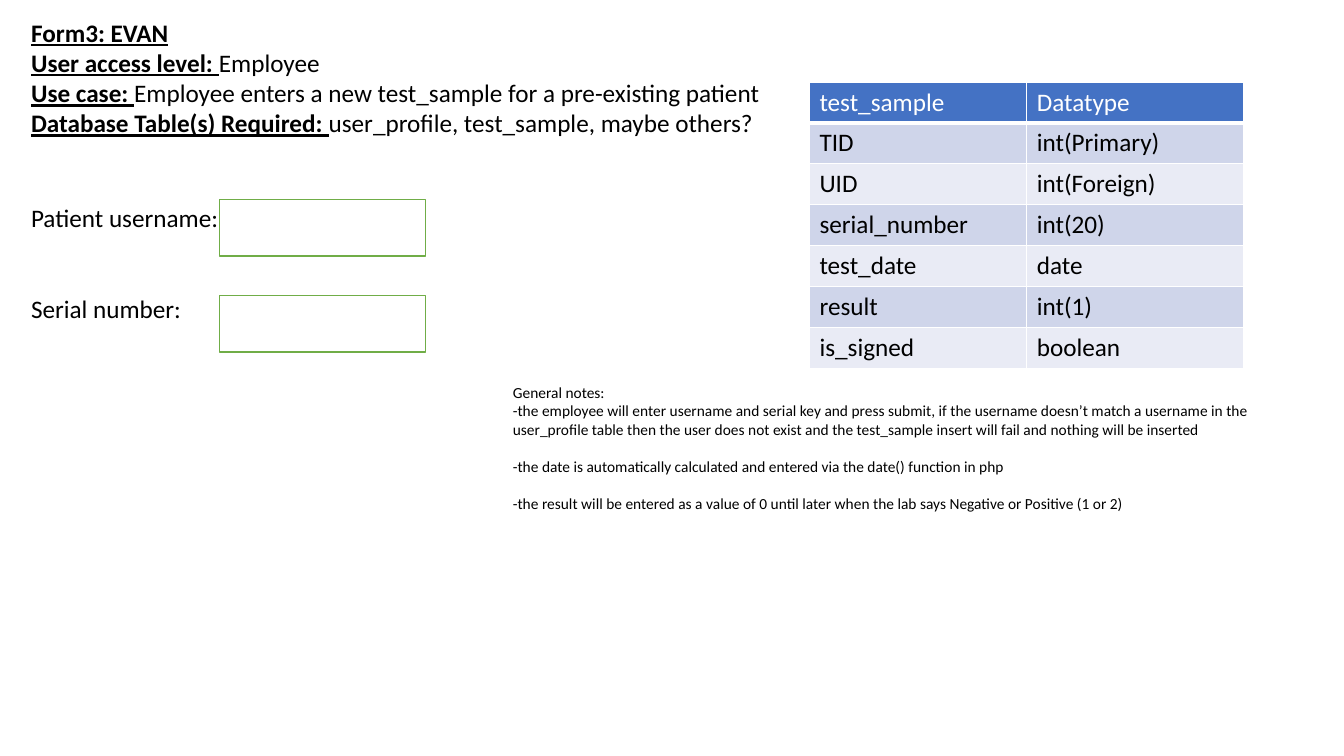
from lxml import etree
from pptx import Presentation
from pptx import util as u
from pptx.dml.color import RGBColor
from pptx.enum import shapes, text
from pptx.oxml import ns

COLORS = {"ink": "000000", "paper": "FFFFFF", "field": "70AD47",
          "header": "4472C4", "odd": "CFD5EA", "even": "E9EBF5"}
FONT = "Calibri"
SUMMARY = [("Form3: EVAN", ""),
           ("User access level: ", "Employee"),
           ("Use case: ", "Employee enters a new test_sample for a pre-existing patient"),
           ("Database Table(s) Required: ", "user_profile, test_sample, maybe others? ")]
COLUMNS = [("test_sample", "Datatype"), ("TID", "int(Primary)"),
           ("UID", "int(Foreign)"), ("serial_number", "int(20)"),
           ("test_date", "date"), ("result", "int(1)"), ("is_signed", "boolean")]
LABELS = ["Patient username:", "Serial number:"]
NOTES = ["General notes:",
         "-the employee will enter username and serial key and press submit, if the "
         "username doesn’t match a username in the user_profile table then the user "
         "does not exist and the test_sample insert will fail and nothing will be inserted",
         "-the date is automatically calculated and entered via the date() function in php",
         "-the result will be entered as a value of 0 until later when the lab says "
         "Negative or Positive (1 or 2)"]


def color(name):
    """Return the named colour."""
    return RGBColor.from_string(COLORS[name])


def add_span(para, words, size=18, ink="ink", strong=False):
    """Add one run; strong means bold and underlined."""
    span = para.add_run()
    span.text = words
    font = span.font
    font.name, font.size = FONT, u.Pt(size)
    font.bold = font.underline = strong
    font.color.rgb = color(ink)


def add_paragraphs(page, box, rows, size=18, gaps=()):
    """Fill a text box with (strong, plain) rows; gaps gives space before by row."""
    frame = page.shapes.add_textbox(*map(u.Pt, box)).text_frame
    frame.word_wrap = True
    frame.auto_size = text.MSO_AUTO_SIZE.NONE
    for index, (strong, plain) in enumerate(rows):
        para = frame.add_paragraph() if index else frame.paragraphs[0]
        if index < len(gaps):
            para.space_before = u.Pt(gaps[index])
        if strong:
            add_span(para, strong, size, strong=True)
        if plain:
            add_span(para, plain, size)


def set_borders(cell, bottom):
    """Draw white cell borders with the given bottom width in points."""
    properties = cell._tc.get_or_add_tcPr()
    for index, (side, width) in enumerate([("L", 1), ("R", 1), ("T", 1), ("B", bottom)]):
        line = etree.Element(ns.qn("a:ln" + side), w=str(u.Pt(width)))
        fill = etree.SubElement(line, ns.qn("a:solidFill"))
        etree.SubElement(fill, ns.qn("a:srgbClr"), val=COLORS["paper"])
        properties.insert(index, line)


def add_schema(page, box):
    """Place the table of database columns with alternating row fills."""
    table = page.shapes.add_table(len(COLUMNS), 2, *map(u.Pt, box)).table
    for row, values in enumerate(COLUMNS):
        fill = "header" if row == 0 else "odd" if row % 2 else "even"
        for column, value in enumerate(values):
            cell = table.cell(row, column)
            cell.fill.solid()
            cell.fill.fore_color.rgb = color(fill)
            set_borders(cell, 1 if row else 3)
            add_span(cell.text_frame.paragraphs[0], value, ink="ink" if row else "paper")


def add_form(page, box):
    """Place the labels and one empty field beside each."""
    left, top, width, height = box
    add_paragraphs(page, box, [("", label) for label in LABELS], gaps=(0, 43))
    for index in range(len(LABELS)):
        field = page.shapes.add_shape(
            shapes.MSO_SHAPE.RECTANGLE, u.Pt(left + 141.8), u.Pt(top + 1.6 + index * 68.4),
            u.Pt(147), u.Pt(40.3))
        field.shadow.inherit = False
        field.fill.solid()
        field.fill.fore_color.rgb = color("paper")
        field.line.color.rgb = color("field")
        field.line.width = u.Pt(1)


def build_form_slide(page):
    """Arrange the summary, schema, form and notes."""
    add_paragraphs(page, (15.1, 8.6, 658, 94.3), SUMMARY)
    add_schema(page, (578.2, 58.6, 310.4, 201.6))
    add_form(page, (15.1, 141.1, 543, 138.2))
    add_paragraphs(page, (359.3, 270, 543, 100.8), [("", note) for note in NOTES],
                   size=11, gaps=(0, 0, 13.4, 13.4))


deck = Presentation()
deck.slide_width, deck.slide_height = u.Pt(960), u.Pt(540)
build_form_slide(deck.slides.add_slide(deck.slide_layouts[6]))
deck.save("out.pptx")
